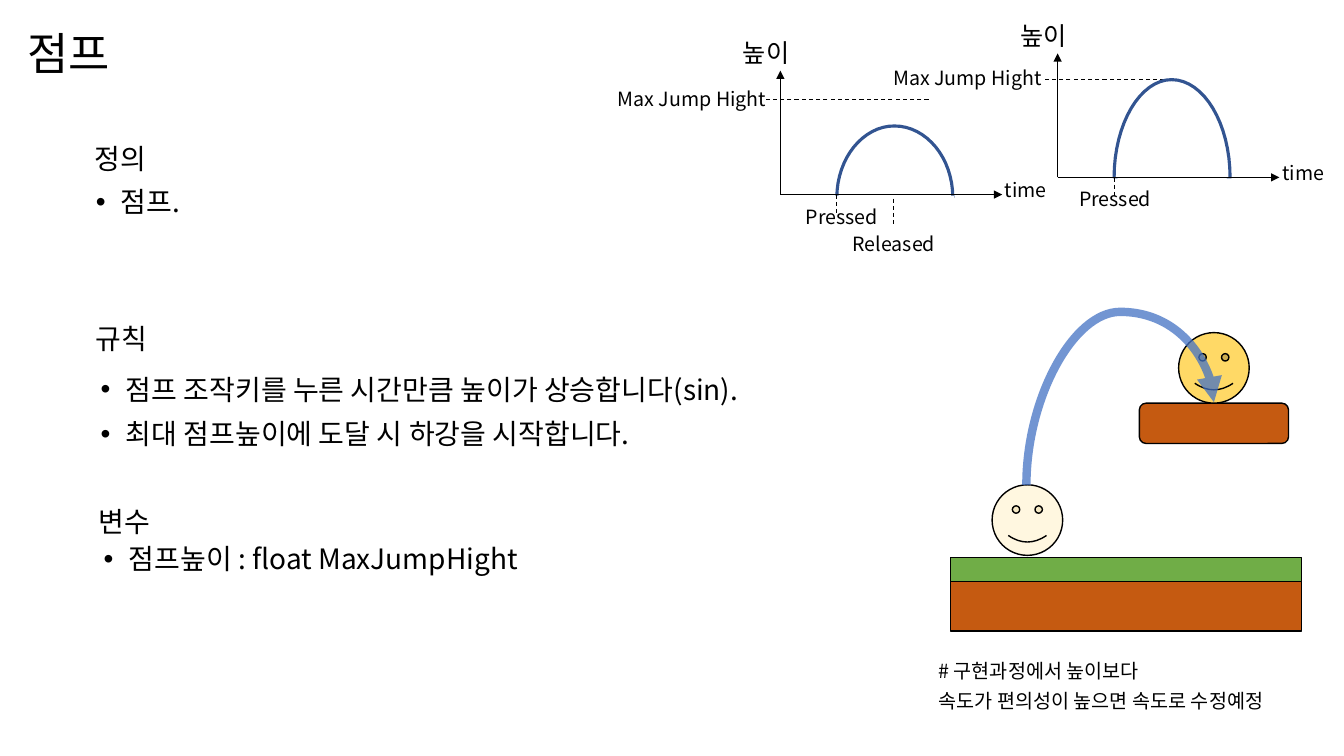
from lxml import etree
from pptx import Presentation, util as u
from pptx.dml.color import RGBColor
from pptx.enum import dml, shapes, text
from pptx.oxml import ns

PX = 9144  # 100 px to the inch
FONT = "Noto Sans CJK KR"
BLACK = RGBColor(0, 0, 0)
WHITE = RGBColor(255, 255, 255)
BROWN = RGBColor(0xC5, 0x5A, 0x11)
GREEN = RGBColor(0x70, 0xAD, 0x47)
YELLOW = RGBColor(0xFF, 0xD9, 0x66)
BLUE = RGBColor(0x44, 0x72, 0xC4)
NAVY = RGBColor(0x32, 0x54, 0x91)
SHAPE = shapes.MSO_SHAPE
CENTER = text.PP_ALIGN.CENTER
HEADING = {"line_spacing": 0.9, "space_before": u.Pt(10)}
NOTE = {"line_spacing": 0.7, "space_before": u.Pt(10)}
MIDDLE = {"alignment": CENTER}


def px(*lengths):
    return [round(length * PX) for length in lengths]


def add_xml(parent, tag, **attributes):
    return etree.SubElement(parent, ns.qn(tag), attributes)


def set_all(target, values):
    for name, value in values.items():
        setattr(target, name, value)


def set_opacity(color_format_parent, percent):
    color = color_format_parent.find(".//" + ns.qn("a:srgbClr"))
    add_xml(color, "a:alpha", val=str(percent * 1000))


def write(shape, lines, size, layout, bullet=False):
    frame = shape.text_frame
    set_all(frame, {"word_wrap": True, "auto_size": text.MSO_AUTO_SIZE.NONE})
    frame.text = "\n".join(lines)
    for paragraph in frame.paragraphs:
        set_all(paragraph, {"alignment": text.PP_ALIGN.LEFT, **layout})
        if bullet:
            properties = paragraph._p.get_or_add_pPr()
            properties.set("marL", str(25 * PX))
            properties.set("indent", str(-25 * PX))
            add_xml(properties, "a:buFont", typeface="Arial")
            add_xml(properties, "a:buChar", char="•")
        for run in paragraph.runs:
            set_all(run.font, {"size": u.Pt(size), "name": FONT})
            run.font.color.rgb = BLACK
            add_xml(run._r.get_or_add_rPr(), "a:ea", typeface=FONT)


def add_text(slide, box, lines, size, layout, bullet=False):
    write(slide.shapes.add_textbox(*px(*box)), lines, size, layout, bullet)


def fill_placeholder(shape, box, lines, size, layout, bullet=False):
    set_all(shape, dict(zip(("left", "top", "width", "height"), px(*box))))
    write(shape, lines, size, layout, bullet)


def add_block(slide, kind, box, color, outlined=True):
    shape = slide.shapes.add_shape(kind, *px(*box))
    shape.shadow.inherit = False
    shape.fill.solid()
    shape.fill.fore_color.rgb = color
    if outlined:
        shape.line.color.rgb = BLACK
        shape.line.width = u.Pt(1)
    else:
        shape.line.fill.background()
    return shape


def add_line(slide, ends, width=1, color=BLACK, arrow=False, dashed=False,
             kind=shapes.MSO_CONNECTOR.STRAIGHT):
    line = slide.shapes.add_connector(kind, *px(*ends))
    line.line.color.rgb = color
    line.line.width = u.Pt(width)
    if dashed:
        line.line.dash_style = dml.MSO_LINE.DASH
    if arrow:
        add_xml(line.line._get_or_add_ln(), "a:tailEnd", type="triangle")
    add_xml(line._element.spPr, "a:effectLst")
    return line


def bezier(points, steps=16):
    for step in range(1, steps + 1):
        t = step / steps
        weights = ((1 - t) ** 3, 3 * t * (1 - t) ** 2, 3 * t * t * (1 - t), t ** 3)
        yield tuple(round(sum(w * p[axis] for w, p in zip(weights, points)) * PX)
                    for axis in (0, 1))


def add_arch(slide, left, base, peak, sag):
    """Jump curve: half an ellipse closed by a shallow bow below the base."""
    middle, right = left + 57, left + 115
    shoulder = base - (base - peak) * 0.55
    curves = (
        ((left, base), (left, shoulder), (left + 26, peak), (middle, peak)),
        ((middle, peak), (left + 89, peak), (right, shoulder), (right, base)),
        ((right, base), (right - 9, base + sag), (left + 9, base + sag), (left, base)),
    )
    builder = slide.shapes.build_freeform(*px(left, base))
    builder.add_line_segments([point for curve in curves for point in bezier(curve)])
    arch = builder.convert_to_shape()
    arch.shadow.inherit = False
    arch.fill.background()
    arch.line.color.rgb = NAVY
    arch.line.width = u.Pt(2.25)


def add_graph(slide, x, y, limit, limit_label, arch, pressed, released=False):
    """Height over time; x, y is the origin and other places are relative to it."""
    add_text(slide, (x - 47, y - 161, 127, 40), ["높이"], 18, {})
    start, end, level = limit
    add_line(slide, (x + end, y + level, x + start, y + level), 0.75, dashed=True)
    label_x, label_y = limit_label
    add_text(slide, (x + label_x, y + label_y, 173, 34), ["Max Jump Hight"], 14, MIDDLE)
    base, peak, sag = arch
    add_arch(slide, x + 56, y + base, y + peak, sag)
    # Axes, and the mask that hides the foot of the arch
    add_line(slide, (x, y, x + 220, y), arrow=True)
    add_line(slide, (x, y, x, y - 123), arrow=True)
    add_block(slide, SHAPE.RECTANGLE, (x + 48, y + 1, 124, 34), WHITE, outlined=False)
    # Key marks
    add_line(slide, (x + 56, y, x + 56, y + 19), 0.75, dashed=True)
    if released:
        add_line(slide, (x + 112, y + 4, x + 112, y + 32), 0.75, dashed=True)
        add_text(slide, (x + 45, y + 32, 135, 34), ["Released"], 14, MIDDLE)
    left, width = pressed
    add_text(slide, (x + left, y + 5, width, 34), ["Pressed"], 14, MIDDLE)
    add_text(slide, (x + 176, y - 21, 135, 34), ["time"], 14, MIDDLE)


def add_scene(slide, x, y):
    """Jump from the ground to a ledge; x, y is the top left of the ground."""
    add_block(slide, SHAPE.ROUNDED_RECTANGLE, (x + 187, y - 153, 148, 40), BROWN)
    add_block(slide, SHAPE.RECTANGLE, (x, y, 348, 24), GREEN)
    add_block(slide, SHAPE.RECTANGLE, (x, y + 24, 348, 49), BROWN)
    for left, top, opacity in ((41, -72, 20), (226, -223, 100)):
        face = add_block(slide, SHAPE.SMILEY_FACE, (x + left, y + top, 70, 70), YELLOW)
        if opacity < 100:
            set_opacity(face._element.spPr, opacity)
    # Jump arrow: laid out upright, then turned a quarter
    middle_x, middle_y = x + 168, y - 113
    arrow = add_line(slide, (middle_x + 41, middle_y + 93, middle_x - 41, middle_y - 93),
                     6, BLUE, arrow=True, kind=shapes.MSO_CONNECTOR.CURVE)
    properties = arrow._element.spPr
    set_opacity(properties, 75)
    properties.find(ns.qn("a:xfrm")).set("rot", "5400000")
    adjustments = properties.find(".//" + ns.qn("a:avLst"))
    add_xml(adjustments, "a:gd", name="adj1", fmla="val 209300")


def add_rules(slide):
    for left, top, width, heading in ((84, 139, 203, "정의"), (85, 318, 203, "규칙"),
                                      (88, 499, 136, "변수")):
        add_text(slide, (left, top, width, 43), [heading], 20, HEADING)
    add_text(slide, (90, 368, 750, 143),
             ["점프 조작키를 누른 시간만큼 높이가 상승합니다(sin).",
              "최대 점프높이에 도달 시 하강을 시작합니다."], 20, HEADING, bullet=True)
    add_text(slide, (93, 536, 502, 143), ["점프높이 : float MaxJumpHight"], 20,
             HEADING, bullet=True)


def main():
    presentation = Presentation()
    presentation.slide_width, presentation.slide_height = px(1333, 750)
    slide = presentation.slides.add_slide(presentation.slide_layouts[1])
    title, body = slide.placeholders
    fill_placeholder(title, (17, 15, 388, 81), ["점프"], 32, {"line_spacing": 0.9})
    title.text_frame.vertical_anchor = text.MSO_ANCHOR.MIDDLE
    fill_placeholder(body, (85, 182, 750, 143), ["점프."], 20, HEADING, bullet=True)
    add_rules(slide)
    add_scene(slide, 943, 553)
    add_graph(slide, 1049, 176, (-13, 113, -97), (-176, -115), (0, -97, 16), (11, 92))
    add_text(slide, (921, 655, 425, 68),
             ["# 구현과정에서 높이보다", "속도가 편의성이 높으면 속도로 수정예정"], 14, NOTE)
    add_graph(slide, 774, 193, (-15, 147, -94), (-174, -112), (3, -68, 12), (5, 112),
              released=True)
    presentation.save("out.pptx")


if __name__ == "__main__":
    main()
